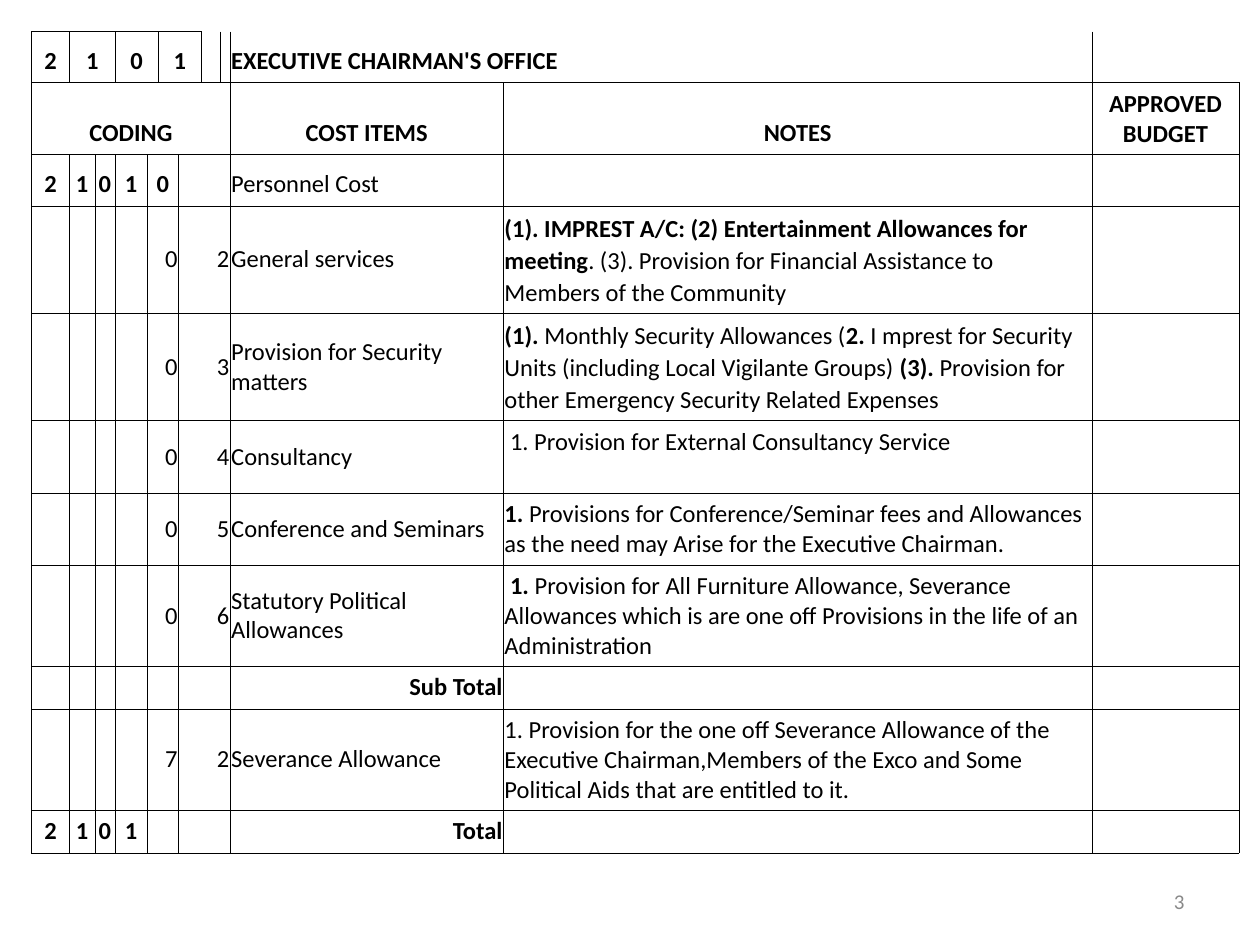
"""Build the budget table slide for the Executive Chairman's Office."""
import pptx
import pptx.dml.color
import pptx.enum.text
import pptx.oxml.ns
import pptx.util
from lxml import etree

Cm, Pt = pptx.util.Cm, pptx.util.Pt
RGB = pptx.dml.color.RGBColor
qn = pptx.oxml.ns.qn
Align = pptx.enum.text.PP_ALIGN
Anchor = pptx.enum.text.MSO_ANCHOR

THEME = {
    "font": "Calibri",
    "ink": RGB(0x00, 0x00, 0x00),
    "muted": RGB(0x89, 0x89, 0x89),
    "body": Pt(14),
    "footer": Pt(12),
    "rule": Pt(0.23),
    "heavy_rule": Pt(0.45),
}
NO_GRID_STYLE = "{2D5ABB26-0587-4C30-8999-92F81FD0307C}"
STYLES = {
    "code": (True, Align.CENTER, Anchor.BOTTOM, 1.0),
    "title": (True, Align.LEFT, Anchor.BOTTOM, 1.0),
    "total": (True, Align.RIGHT, Anchor.BOTTOM, 1.0),
    "group": (False, Align.LEFT, Anchor.BOTTOM, 1.0),
    "digit": (False, Align.RIGHT, Anchor.MIDDLE, 1.0),
    "item": (False, Align.LEFT, Anchor.MIDDLE, 1.0),
    "loose_notes": (False, Align.LEFT, Anchor.MIDDLE, 1.07),
    "notes": (False, Align.LEFT, Anchor.TOP, 1.0),
}
ITEM, NOTES, BUDGET = 9, 10, 11
CODE_SPANS = {4: 2, 6: 3}


def write_runs(paragraph, text, bold, size, color):
    for index, part in enumerate(text.split("**")):
        if part:
            run = paragraph.add_run()
            run.text = part
            font_format = {"name": THEME["font"], "size": size, "bold": bold != (index % 2 == 1)}
            for attribute, value in font_format.items():
                setattr(run.font, attribute, value)
            run.font.color.rgb = color


def draw_border(cell, side, width):
    line = etree.SubElement(cell._tc.get_or_add_tcPr(), qn(f"a:ln{side}"), w=str(int(width)))
    fill = etree.SubElement(line, qn("a:solidFill"))
    etree.SubElement(fill, qn("a:srgbClr"), val=str(THEME["ink"]))


budget_lines = [
    (1.93, "02", "General services", "loose_notes",
     "**(1). IMPREST A/C: (2) Entertainment Allowances for meeting**. (3). "
     "Provision for Financial Assistance to Members of the Community"),
    (1.93, "03", "Provision for Security matters", "loose_notes",
     "**(1). **Monthly Security Allowances (**2. **I mprest for Security Units (including "
     "Local Vigilante Groups) **(3). **Provision for other Emergency Security Related Expenses"),
    (1.47, "04", "Consultancy", "notes", " 1. Provision for External Consultancy Service"),
    (1.22, "05", "Conference and Seminars", "notes",
     "**1. **Provisions for Conference/Seminar fees and Allowances as the need may Arise "
     "for the Executive Chairman."),
    (1.8, "06", "Statutory Political Allowances", "notes",
     " **1. **Provision for All Furniture Allowance, Severance Allowances which is are "
     "one off Provisions in the life of an Administration"),
    (1.8, "72", "Severance Allowance", "notes",
     "1. Provision for the one off Severance Allowance of the Executive Chairman,Members "
     "of the Exco and Some Political Aids that are entitled to it."),
]
line_rows = [
    (height, CODE_SPANS, {4: ("digit", code[0]), 6: ("digit", code[1]),
                          ITEM: ("item", item), NOTES: (style, notes)})
    for height, code, item, style, notes in budget_lines
]
rows = [
    (1.03, {1: 2, 3: 2, 5: 2, ITEM: 2},
     {**{column: ("code", digit) for column, digit in zip((0, 1, 3, 5), "2101")},
      ITEM: ("title", "EXECUTIVE CHAIRMAN'S OFFICE")}),
    (1.27, {0: 9},
     {0: ("code", "CODING"), ITEM: ("code", "COST ITEMS"),
      NOTES: ("code", "NOTES"), BUDGET: ("code", "APPROVED BUDGET")}),
    (1.03, CODE_SPANS,
     {**{column: ("code", digit) for column, digit in enumerate("21010")},
      ITEM: ("group", "Personnel Cost")}),
    *line_rows[:-1],
    (0.86, CODE_SPANS, {ITEM: ("total", "Sub Total")}),
    line_rows[-1],
    (0.86, CODE_SPANS,
     {**{column: ("code", digit) for column, digit in enumerate("2101")},
      ITEM: ("total", "Total")}),
]
column_widths = [0.76, 0.51, 0.41, 0.64, 0.23, 0.41, 0.46, 0.38, 0.2, 5.51, 11.86, 2.97]

deck = pptx.Presentation()
deck.slide_width, deck.slide_height = Cm(25.4), Cm(19.05)
slide = deck.slides.add_slide(deck.slide_layouts[6])

page_number = slide.shapes.add_textbox(Cm(18.2), Cm(17.66), Cm(5.93), Cm(1.01)).text_frame
page_number.word_wrap = True
page_number.vertical_anchor = Anchor.MIDDLE
page_number.paragraphs[0].alignment = Align.RIGHT
write_runs(page_number.paragraphs[0], "3", False, THEME["footer"], THEME["muted"])

budget = slide.shapes.add_table(
    len(rows), len(column_widths), Cm(0.64), Cm(0.64),
    Cm(sum(column_widths)), Cm(sum(row[0] for row in rows))).table
budget.first_row = budget.horz_banding = False
budget._tbl.tblPr.find(qn("a:tableStyleId")).text = NO_GRID_STYLE
for column, width in zip(budget.columns, column_widths):
    column.width = Cm(width)

for r, (height, spans, entries) in enumerate(rows):
    budget.rows[r].height = Cm(height)
    for c, span in spans.items():
        budget.cell(r, c).merge(budget.cell(r, c + span - 1))
    for c in range(len(column_widths)):
        cell = budget.cell(r, c)
        padding = Cm(0.13) if c in entries else 0
        margins = {"margin_left": Cm(0.02), "margin_right": Cm(0.02),
                   "margin_top": padding, "margin_bottom": padding}
        for attribute, value in margins.items():
            setattr(cell, attribute, value)
        if not cell.is_spanned:
            edges = {
                "L": (r > 0 or c < 8 or c == ITEM, c == 0),
                "R": (r > 0 or c < 7 or c == 8, False),
                "T": (r > 0 or c < 7, r < 3),
                "B": (True, r < 2),
            }
            for side, (shown, heavy) in edges.items():
                if shown:
                    draw_border(cell, side, THEME["heavy_rule" if heavy else "rule"])
        cell.fill.background()
        if c in entries:
            style, text = entries[c]
            bold, alignment, cell.vertical_anchor, spacing = STYLES[style]
            paragraph = cell.text_frame.paragraphs[0]
            paragraph.alignment, paragraph.line_spacing = alignment, spacing
            write_runs(paragraph, text, bold, THEME["body"], THEME["ink"])

deck.save("out.pptx")
